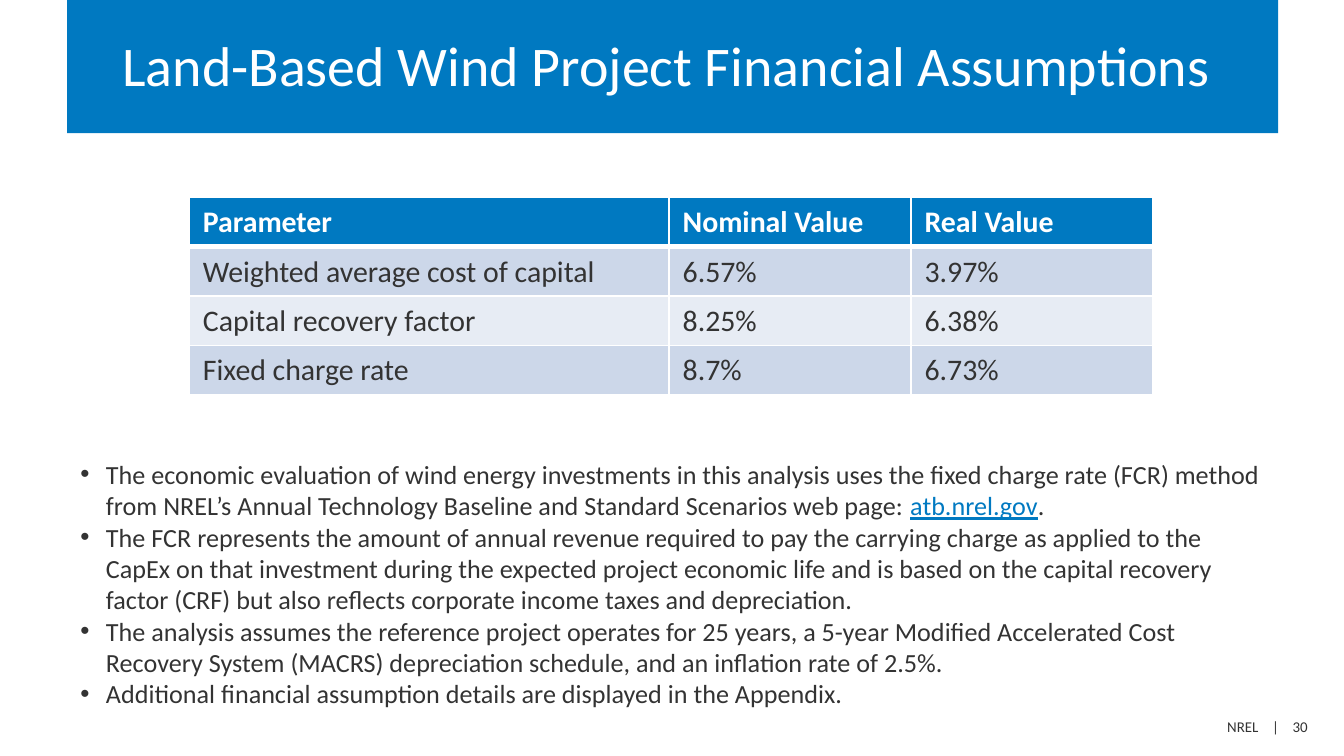
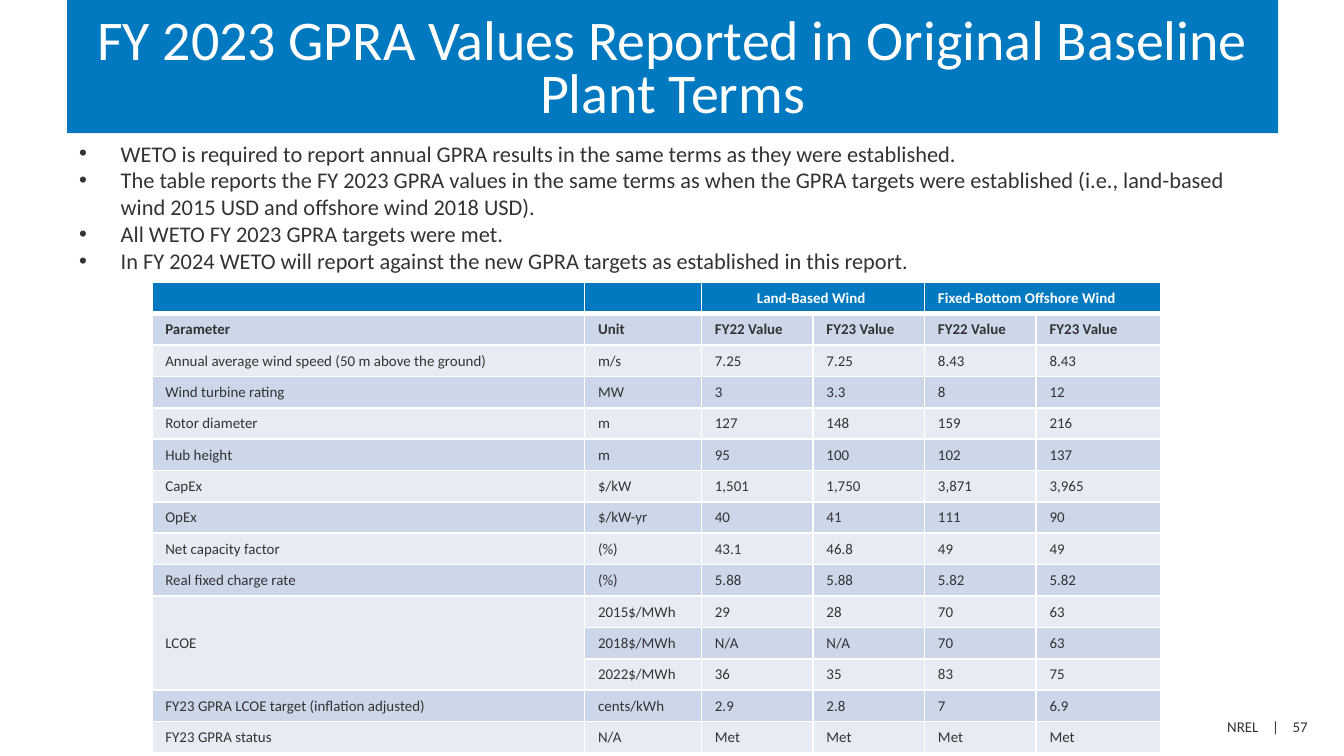
import dataclasses

import lxml.etree
import pptx
import pptx.dml.color
import pptx.enum.shapes
import pptx.enum.text
import pptx.oxml.ns
import pptx.util

Inches = pptx.util.Inches
Pt = pptx.util.Pt
ALIGN = pptx.enum.text.PP_ALIGN
ANCHOR = pptx.enum.text.MSO_ANCHOR


@dataclasses.dataclass(frozen=True)
class Theme:
    font: str = "Calibri"
    blue: str = "0079C1"
    text: str = "333333"
    white: str = "FFFFFF"
    bands: tuple = ("CCD7E9", "E7ECF4")
    title_size: int = 30
    title_leading: int = 28
    footer_size: int = 8
    rule: int = 1
    header_rule: int = 3


THEME = Theme()
TITLE_BOX = (0.5, 0, 9.01, 0.99)
FOOTER_BOX = (7.34, 5.29, 2.49, 0.24)

FINANCIAL_ROWS = [
    ["Parameter", "Nominal Value", "Real Value"],
    ["Weighted average cost of capital", "6.57%", "3.97%"],
    ["Capital recovery factor", "8.25%", "6.38%"],
    ["Fixed charge rate", "8.7%", "6.73%"],
]
FINANCIAL_NOTES = [
    [("The economic evaluation of wind energy investments in this analysis uses the fixed charge "
      "rate (FCR) method from NREL’s Annual Technology Baseline and Standard Scenarios web page: ", {}),
     ("atb.nrel.gov", {"color": THEME.blue, "underline": True}),
     (".", {})],
    "The FCR represents the amount of annual revenue required to pay the carrying charge as applied "
    "to the CapEx on that investment during the expected project economic life and is based on the "
    "capital recovery factor (CRF) but also reflects corporate income taxes and depreciation.",
    "The analysis assumes the reference project operates for 25 years, a 5-year Modified Accelerated "
    "Cost Recovery System (MACRS) depreciation schedule, and an inflation rate of 2.5%.",
    "Additional financial assumption details are displayed in the Appendix.",
]
GPRA_ROWS = [
    ["", "", "Land-Based Wind ", "", "Fixed-Bottom Offshore Wind", ""],
    ["Parameter", "Unit", "FY22 Value", "FY23 Value", "FY22 Value", "FY23 Value"],
    ["Annual average wind speed (50 m above the ground)", "m/s", "7.25", "7.25", "8.43", "8.43"],
    ["Wind turbine rating", "MW", "3", "3.3", "8", "12"],
    ["Rotor diameter", "m", "127", "148", "159", "216"],
    ["Hub height", "m", "95", "100", "102", "137"],
    ["CapEx", "$/kW", "1,501", "1,750", "3,871", "3,965"],
    ["OpEx", "$/kW-yr", "40", "41", "111", "90"],
    ["Net capacity factor", "(%)", "43.1", "46.8", "49", "49"],
    ["Real fixed charge rate", "(%)", "5.88", "5.88", "5.82", "5.82"],
    ["LCOE", "2015$/MWh", "29", "28", "70", "63"],
    ["", "2018$/MWh", "N/A", "N/A", "70", "63"],
    ["", "2022$/MWh", "36", "35", "83", "75"],
    ["FY23 GPRA LCOE target (inflation adjusted)", "cents/kWh", "2.9", "2.8", "7", "6.9"],
    ["FY23 GPRA status", "N/A", "Met", "Met", "Met", "Met"],
]
GPRA_NOTES = [
    "WETO is required to report annual GPRA results in the same terms as they were established.",
    "The table reports the FY 2023 GPRA values in the same terms as when the GPRA targets were "
    "established (i.e., land-based wind 2015 USD and offshore wind 2018 USD).",
    "All WETO FY 2023 GPRA targets were met.",
    "In FY 2024 WETO will report against the new GPRA targets as established in this report.",
]


def rgb(color):
    return pptx.dml.color.RGBColor.from_string(color)


def add_element(parent, tag, **attributes):
    element = lxml.etree.SubElement(parent, pptx.oxml.ns.qn(tag))
    for name, value in attributes.items():
        element.set(name, str(value))
    return element


def inches(box):
    return [Inches(length) for length in box]


def write_text(paragraph, text, size, color=THEME.text, bold=False, underline=False, align=None):
    """Append one formatted run; empty text only sets the height of the line."""
    if align is not None:
        paragraph.alignment = align
    if not text:
        add_element(paragraph._p, "a:endParaRPr", sz=size * 100)
        return
    run = paragraph.add_run()
    run.text = text
    run.font.name = THEME.font
    run.font.size = Pt(size)
    run.font.bold = bold
    run.font.underline = underline
    run.font.color.rgb = rgb(color)


def add_title(slide, box, title):
    shape = slide.shapes.add_shape(pptx.enum.shapes.MSO_SHAPE.RECTANGLE, *inches(box))
    shape.shadow.inherit = False
    shape.fill.solid()
    shape.fill.fore_color.rgb = rgb(THEME.blue)
    shape.line.fill.background()
    frame = shape.text_frame
    frame.word_wrap = True
    frame.vertical_anchor = ANCHOR.MIDDLE
    frame.margin_top = Inches(0.13)
    paragraph = frame.paragraphs[0]
    paragraph.line_spacing = Pt(THEME.title_leading)
    write_text(paragraph, title, THEME.title_size, THEME.white, align=ALIGN.CENTER)


def add_footer(slide, box, page):
    """Set the owner, a divider and the page number on tab stops at the right of the box."""
    frame = slide.shapes.add_textbox(*inches(box)).text_frame
    frame.word_wrap = True
    frame.margin_left = Inches(1.79)
    paragraph = frame.paragraphs[0]
    tabs = add_element(paragraph._p.get_or_add_pPr(), "a:tabLst")
    for position, kind in ((0.36, "ctr"), (0.6, "r")):
        add_element(tabs, "a:tab", pos=Inches(position), algn=kind)
    write_text(paragraph, f"NREL\t|\t{page}", THEME.footer_size)


def add_bullets(slide, box, notes, size, indent):
    """Each note is a string, or a list of (text, format) pairs."""
    frame = slide.shapes.add_textbox(*inches(box)).text_frame
    frame.word_wrap = True
    for index, note in enumerate(notes):
        paragraph = frame.add_paragraph() if index else frame.paragraphs[0]
        properties = paragraph._p.get_or_add_pPr()
        properties.set("marL", str(Inches(indent)))
        properties.set("indent", str(-Inches(indent)))
        add_element(properties, "a:buFont", typeface="Arial")
        add_element(properties, "a:buChar", char="•")
        for text, style in [(note, {})] if isinstance(note, str) else note:
            write_text(paragraph, text, size, **style)


def set_borders(cell, **widths):
    properties = cell._tc.get_or_add_tcPr()
    for side in ("L", "R", "T", "B"):
        width = widths.get(side, THEME.rule)
        line = add_element(properties, f"a:ln{side}", w=Pt(width))
        add_element(add_element(line, "a:solidFill"), "a:srgbClr", val=THEME.white)


def add_banded_table(slide, box, rows, columns, row_height, size,
                     merges=(), centered=(), bold_rows=1):
    """Merges are pairs of (row, column) corners; centered lists header columns."""
    table = slide.shapes.add_table(len(rows), len(columns), *inches(box)).table
    for column, width in zip(table.columns, columns):
        column.width = Inches(width)
    for row_index, row in enumerate(rows):
        table.rows[row_index].height = Inches(row_height)
        header = row_index == 0
        for column_index, text in enumerate(row):
            cell = table.cell(row_index, column_index)
            if header:
                set_borders(cell, B=THEME.header_rule)
            else:
                set_borders(cell, T=THEME.header_rule if row_index == 1 else THEME.rule)
            cell.fill.solid()
            cell.fill.fore_color.rgb = rgb(THEME.blue if header else THEME.bands[(row_index - 1) % 2])
            write_text(cell.text_frame.paragraphs[0], text, size,
                       THEME.white if header else THEME.text,
                       bold=row_index < bold_rows,
                       align=ALIGN.CENTER if header and column_index in centered else None)
    for first, last in merges:
        table.cell(*first).merge(table.cell(*last))
        if first[0] != last[0]:
            table.cell(*first).vertical_anchor = ANCHOR.MIDDLE


def add_framed_slide(presentation, title, page):
    slide = presentation.slides.add_slide(presentation.slide_layouts[6])
    add_footer(slide, FOOTER_BOX, page)
    add_title(slide, TITLE_BOX, title)
    return slide


def add_financial_slide(presentation):
    slide = add_framed_slide(presentation, "Land-Based Wind Project Financial Assumptions ", 30)
    add_banded_table(slide, (1.41, 1.47, 7.17, 1.47), FINANCIAL_ROWS,
                     columns=(3.57, 1.8, 1.8), row_height=0.3, size=16)
    add_bullets(slide, (0.5, 3.36, 9.01, 1.99), FINANCIAL_NOTES, size=14, indent=0.19)


def add_gpra_slide(presentation):
    slide = add_framed_slide(
        presentation, "FY 2023 GPRA Values Reported in Original Baseline Plant Terms", 57)
    add_banded_table(slide, (1.13, 2.1, 7.51, 3.5), GPRA_ROWS,
                     columns=(3.22, 0.87, 0.83, 0.83, 0.83, 0.93), row_height=0.15, size=8,
                     merges=[((0, 2), (0, 3)), ((0, 4), (0, 5)), ((10, 0), (12, 0))],
                     centered=(2,), bold_rows=2)
    add_bullets(slide, (0.49, 0.99, 9.02, 1.11), GPRA_NOTES, size=12, indent=0.31)


def main():
    presentation = pptx.Presentation()
    presentation.slide_width = Inches(10)
    presentation.slide_height = presentation.slide_width * 9 // 16
    add_financial_slide(presentation)
    add_gpra_slide(presentation)
    presentation.save("out.pptx")


if __name__ == "__main__":
    main()
